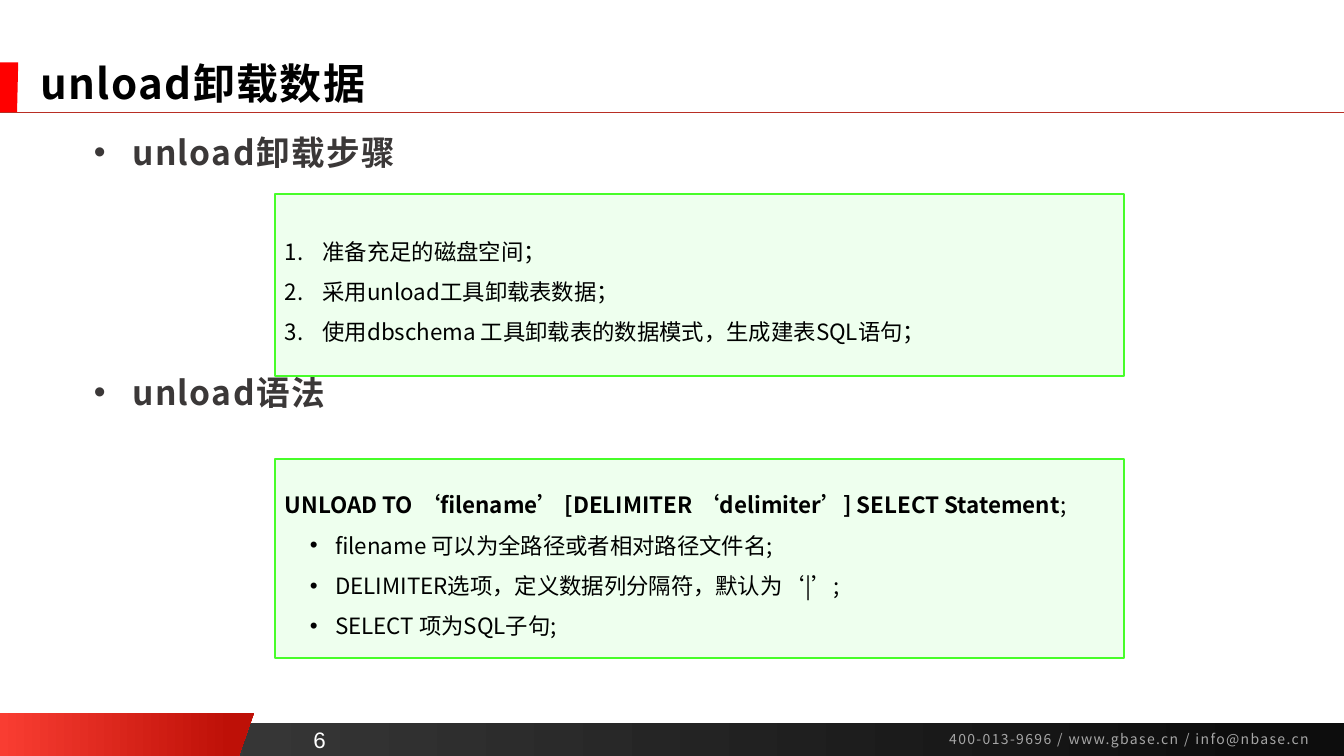
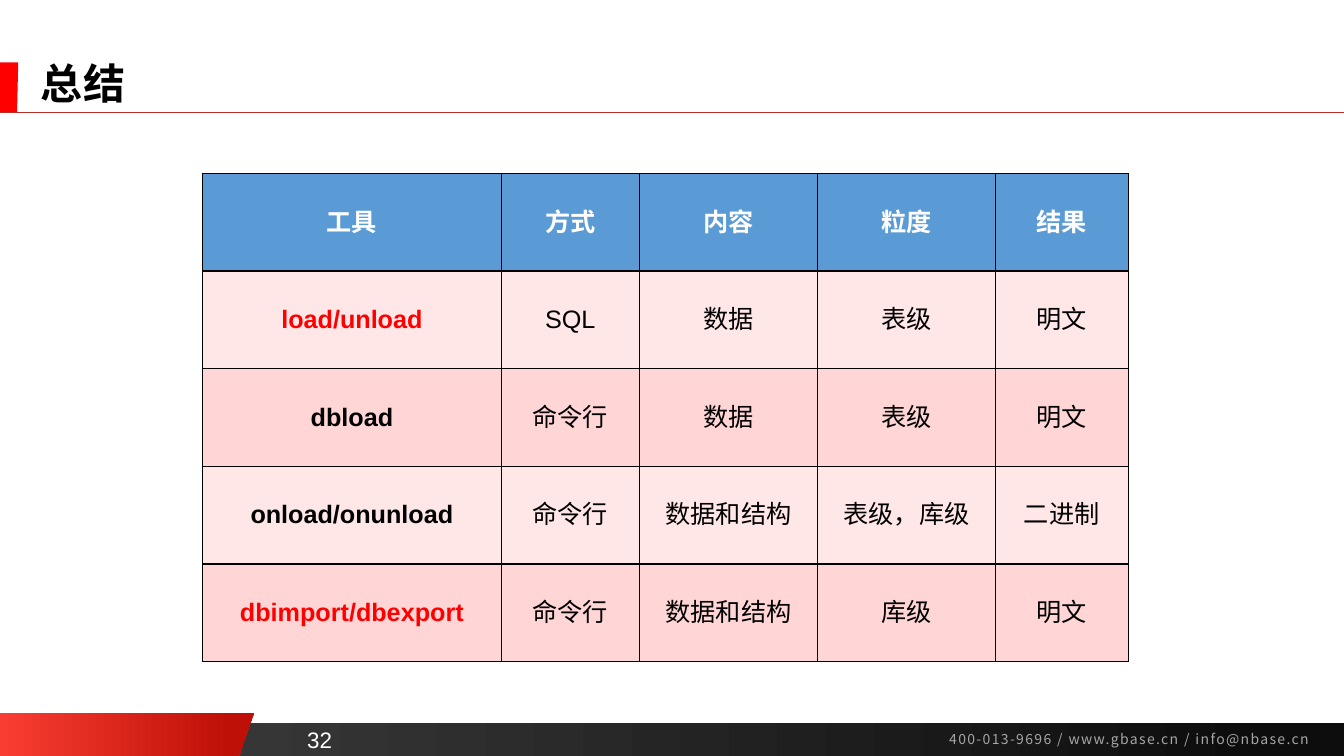
import pptx
import pptx.dml.color
import pptx.enum.shapes
import pptx.enum.text
import pptx.oxml
import pptx.oxml.ns
import pptx.util
from lxml import etree

Cm = pptx.util.Cm
Pt = pptx.util.Pt
ALIGN = pptx.enum.text.PP_ALIGN
ANCHOR = pptx.enum.text.MSO_ANCHOR
RECT = pptx.enum.shapes.MSO_SHAPE.RECTANGLE
WIDTH, HEIGHT = 33.87, 19.05
SANS, ARIAL = "Noto Sans CJK SC", "Arial"
BLACK, WHITE, RED = "000000", "FFFFFF", "FF0000"
CONTACT = "400-013-9696 / www.gbase.cn / info@nbase.cn"

STEPS = ["准备充足的磁盘空间；", "采用unload工具卸载表数据；",
         "使用dbschema 工具卸载表的数据模式，生成建表SQL语句；"]
SYNTAX = ["UNLOAD TO ‘filename’ [DELIMITER ‘delimiter’] SELECT Statement",
          "filename 可以为全路径或者相对路径文件名;",
          "DELIMITER选项，定义数据列分隔符，默认为‘|’;",
          "SELECT 项为SQL子句;"]
TOOLS = [["工具", "方式", "内容", "粒度", "结果"],
         ["load/unload", "SQL", "数据", "表级", "明文"],
         ["dbload", "命令行", "数据", "表级", "明文"],
         ["onload/onunload", "命令行", "数据和结构", "表级，库级", "二进制"],
         ["dbimport/dbexport", "命令行", "数据和结构", "库级", "明文"]]


# Shared helpers
def tint(code):
    return pptx.dml.color.RGBColor.from_string(code)


def box(left, top, width, height):
    return Cm(left), Cm(top), Cm(width), Cm(height)


def add(parent, tag, **attrs):
    node = etree.SubElement(parent, pptx.oxml.ns.qn(tag))
    for key, value in attrs.items():
        node.set(key, str(value))
    return node


def style(para, size, color, face=SANS, bold=False, track=0):
    for run in para.runs:
        font = run.font
        font.size, font.bold, font.name = Pt(size), bold, face
        font.color.rgb = tint(color)
        props = run._r.get_or_add_rPr()
        add(props, "a:ea", typeface=face)
        if track:
            props.set("spc", str(track * 100))


def bullet(para, left, hang, number=False):
    props = para._p.get_or_add_pPr()
    props.set("marL", str(Cm(left)))
    props.set("indent", str(-Cm(hang)))
    if number:
        add(props, "a:buFont", typeface="+mj-lt")
        add(props, "a:buAutoNum", type="arabicPeriod")
    else:
        add(props, "a:buFont", typeface=ARIAL)
        add(props, "a:buChar", char="•")


def fade(shape, first, last, stop):
    shape.shadow.inherit = False
    shape.line.fill.background()
    shape.fill.gradient()
    shape.fill.gradient_angle = 0
    for mark, code, place in zip(shape.fill.gradient_stops, (first, last), (0, stop)):
        mark.color.rgb = tint(code)
        mark.position = place


def slant(slide, top, width, height, cut):
    """Left-edge block whose right side leans inward by cut."""
    pen = slide.shapes.build_freeform(0, Cm(top))
    pen.add_line_segments([(Cm(width), Cm(top)), (Cm(width - cut), Cm(top + height)),
                           (0, Cm(top + height))], close=True)
    shape = pen.convert_to_shape()
    shape.shadow.inherit = False
    shape.line.fill.background()
    return shape


def label(slide, area, text, size, color, face, align, track=0):
    frame = slide.shapes.add_textbox(*area).text_frame
    frame.word_wrap = True
    frame.text = text
    para = frame.paragraphs[0]
    para.alignment = align
    style(para, size, color, face, track=track)
    return frame


# Bands, title and footer of every slide
def start(deck, layout, title, page):
    slide = deck.slides.add_slide(deck.slide_layouts[layout])
    bar = slide.shapes.add_shape(RECT, *box(0, 18.21, WIDTH, 0.84))
    fade(bar, "404040", "0D0D0D", 0.94)
    fade(slant(slide, 17.96, 6.4, 1.09, 0.38), "F93D32", "BE1007", 0.91)
    tab = slant(slide, 1.57, 0.46, 1.27, 0.03)
    tab.fill.solid()
    tab.fill.fore_color.rgb = tint(RED)

    rule = slide.shapes.add_connector(pptx.enum.shapes.MSO_CONNECTOR.STRAIGHT,
                                      0, Cm(2.82), Cm(WIDTH), Cm(2.82))
    rule.line.color.rgb = tint("B82E24")
    rule.line.width = Pt(0.5)
    add(rule._element.spPr, "a:effectLst")

    label(slide, box(23.67, 18.29, 10.13, 0.69), CONTACT, 10, "A6A6A6", SANS,
          ALIGN.LEFT, 1)
    frame = label(slide, box(7.37, 18.16, 1.37, 0.94), page, 16, WHITE, ARIAL,
                  ALIGN.CENTER)
    frame.vertical_anchor = ANCHOR.BOTTOM

    head = slide.shapes.title
    head.left, head.top, head.width, head.height = box(0.76, 1.5, 31.14, 1.35)
    frame = head.text_frame
    frame.text = title
    frame.auto_size = pptx.enum.text.MSO_AUTO_SIZE.NONE
    frame.vertical_anchor = ANCHOR.MIDDLE
    para = frame.paragraphs[0]
    para.alignment, para.line_spacing = ALIGN.LEFT, 0.9
    style(para, 30, BLACK, bold=True, track=1)
    return slide


# Section headings in the body placeholder
def topics(slide, area, lines, gap):
    body = slide.placeholders[1]
    body.left, body.top, body.width, body.height = area
    frame = body.text_frame
    frame.text = "\n".join(lines)
    frame.auto_size = pptx.enum.text.MSO_AUTO_SIZE.NONE
    frame.vertical_anchor = ANCHOR.TOP
    for index, para in enumerate(frame.paragraphs):
        para.line_spacing = 0.8
        para.space_before = Pt(gap if index else 0)
        bullet(para, 0.97, 0.97)
        style(para, 24, "3B3838", bold=True, track=1)


# Pale green panel
def panel(slide, area, lines):
    shape = slide.shapes.add_shape(RECT, *area)
    shape.shadow.inherit = False
    shape.fill.solid()
    shape.fill.fore_color.rgb = tint("CCFFCC")
    add(shape.fill._xPr.find(".//" + pptx.oxml.ns.qn("a:srgbClr")), "a:alpha", val=32000)
    shape.line.color.rgb = tint("47FD29")
    shape.line.width = Pt(1.5)
    frame = shape.text_frame
    frame.word_wrap = True
    frame.vertical_anchor = ANCHOR.MIDDLE
    frame.text = "\n".join(lines)
    for para in frame.paragraphs:
        para.alignment, para.line_spacing = ALIGN.LEFT, 1.5
        style(para, 16, BLACK)
    return frame.paragraphs


# Bordered table
def grid(slide, left, top, widths, height, rows):
    area = box(left, top, sum(widths), height * len(rows))
    table = slide.shapes.add_table(len(rows), len(widths), *area).table
    for col, width in zip(table.columns, widths):
        col.width = Cm(width)
    for r, row in enumerate(rows):
        table.rows[r].height = Cm(height)
        for c, text in enumerate(row):
            cell = table.cell(r, c)
            cell.text = text
            cell.vertical_anchor = ANCHOR.MIDDLE
            para = cell.text_frame.paragraphs[0]
            para.alignment = ALIGN.CENTER
            color = WHITE if r == 0 else RED if c == 0 and r in (1, 4) else BLACK
            style(para, 18, color, ARIAL, bold=r == 0 or c == 0)
            props = cell._tc.get_or_add_tcPr()
            for side in ("a:lnL", "a:lnR", "a:lnT", "a:lnB"):
                line = add(props, side, w=Pt(1))
                add(add(line, "a:solidFill"), "a:srgbClr", val=BLACK)
            cell.fill.solid()
            shade = "5B9BD5" if r == 0 else "FFE7E7" if r % 2 else "FFD5D5"
            cell.fill.fore_color.rgb = tint(shade)


def unload(deck):
    slide = start(deck, 1, "unload卸载数据", "6")
    topics(slide, box(2.11, 3.4, 29.77, 13.59), ["unload卸载步骤", "unload语法"], 148)
    for para in panel(slide, box(6.93, 4.88, 21.39, 4.6), STEPS):
        bullet(para, 0.95, 0.95, number=True)
    head, *items = panel(slide, box(6.93, 11.56, 21.39, 5.03), SYNTAX)
    head.runs[0].font.bold = True
    end = head.add_run()
    end.text = ";"
    end.font.size, end.font.name = Pt(16), SANS
    end.font.color.rgb = tint(BLACK)
    for para in items:
        para.level = 1
        bullet(para, 1.27, 0.64)


def recap(deck):
    slide = start(deck, 5, "总结", "32")
    grid(slide, 5.11, 4.37, [7.52, 3.48, 4.5, 4.47, 3.35], 2.46, TOOLS)


def main():
    deck = pptx.Presentation()
    deck.slide_width, deck.slide_height = Cm(WIDTH), Cm(HEIGHT)
    unload(deck)
    recap(deck)
    deck.save("out.pptx")


if __name__ == "__main__":
    main()
